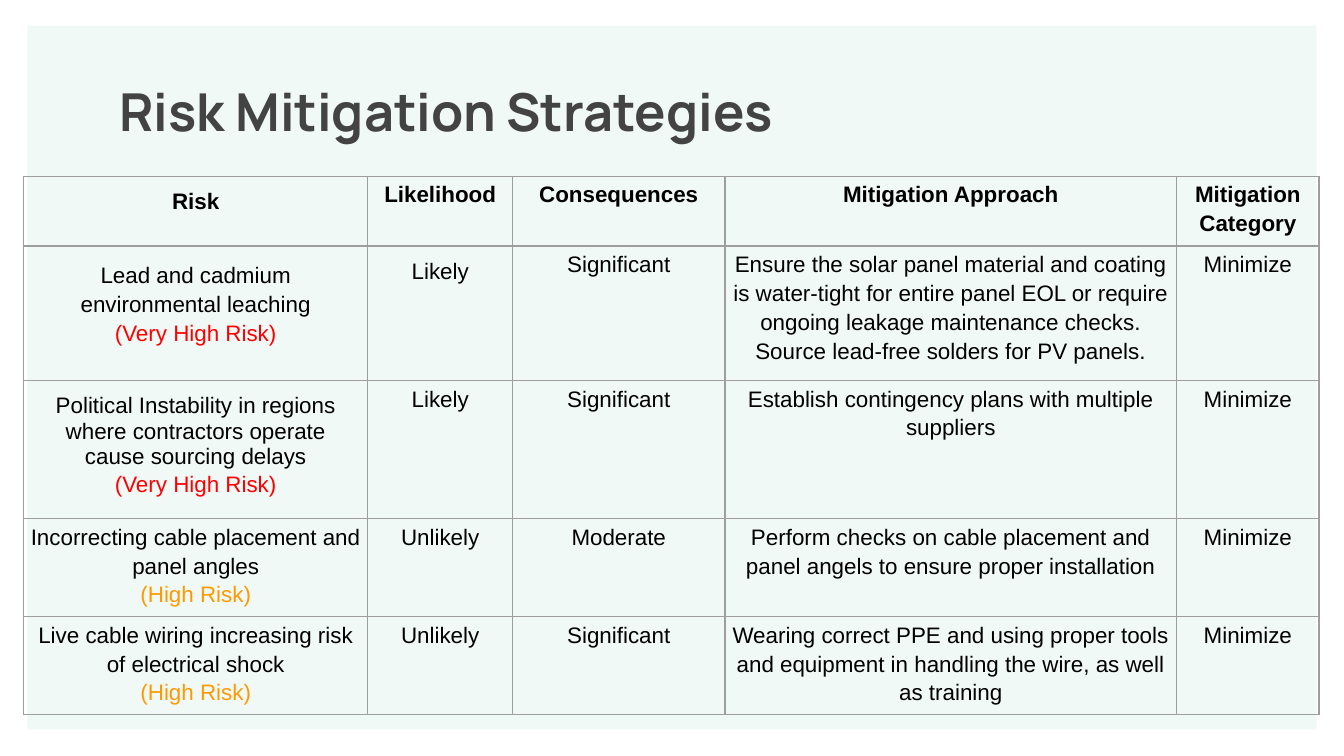
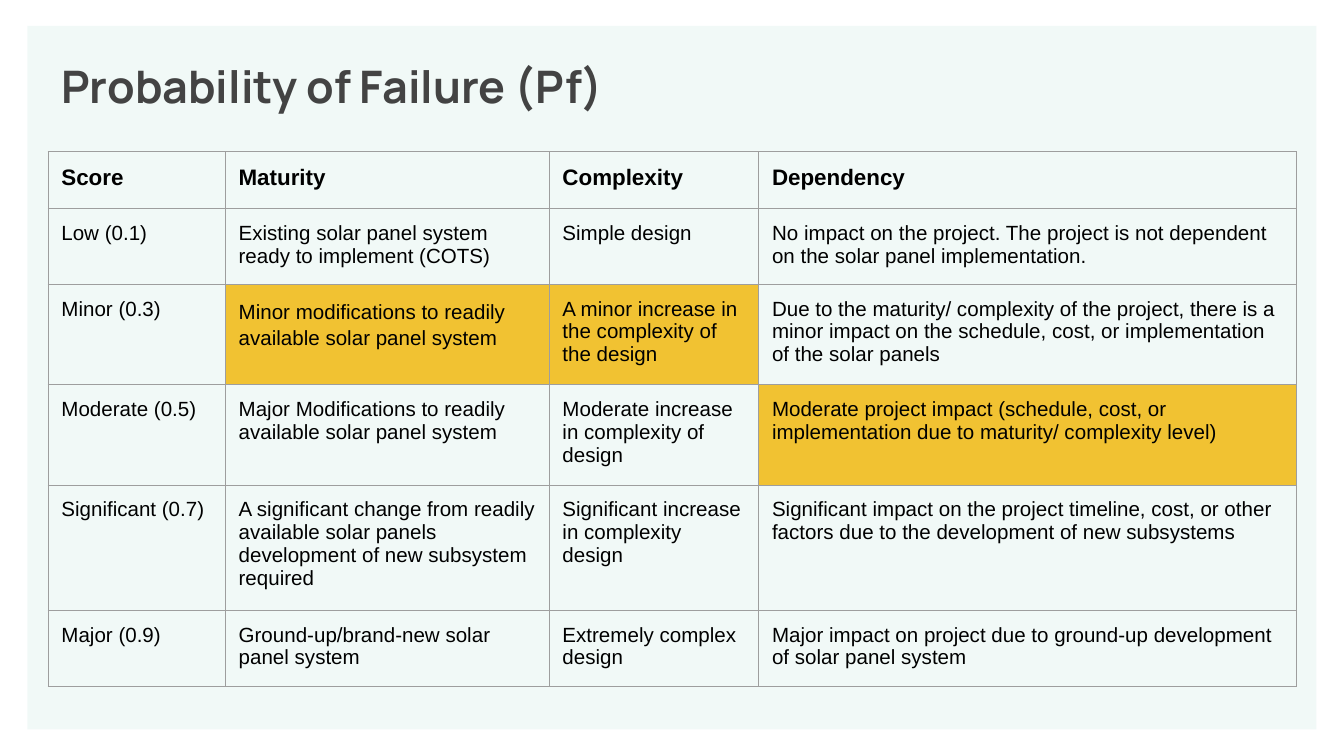
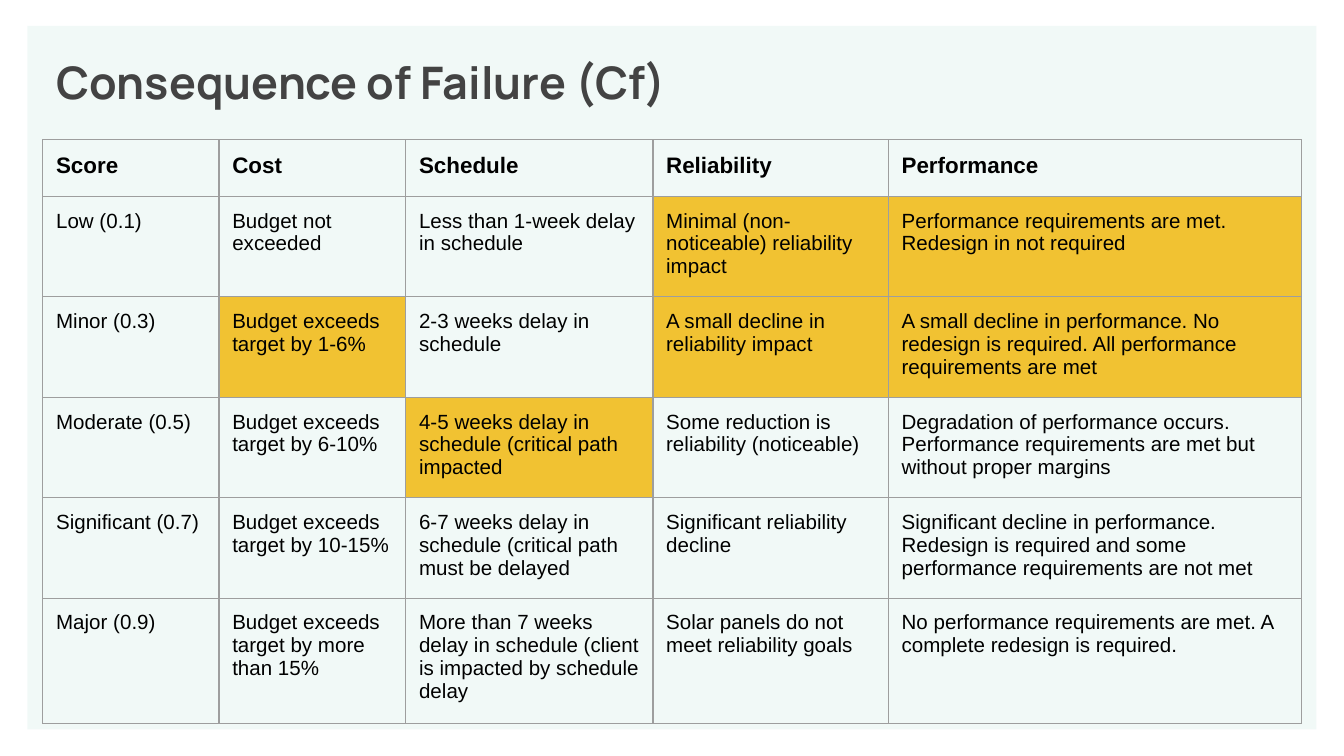
from lxml.etree import SubElement
from pptx import Presentation
from pptx.dml.color import RGBColor
from pptx.enum.shapes import MSO_SHAPE as Shape
from pptx.enum.text import MSO_ANCHOR as Anchor, PP_ALIGN as Align
from pptx.oxml.ns import qn
from pptx.util import Cm, Pt

COLOURS = {
    "page": "FFFFFF",
    "panel": "98D3C7",
    "title": "434343",
    "text": "000000",
    "border": "9E9E9E",
    "highlight": "F1C232",
}
RISK_COLOURS = {"(Very High Risk)": "FF0000", "(High Risk)": "FF9900"}
WIDE_INSETS = (0.25, 0.25)
NARROW_INSETS = (0.08, 0.05)
LEVELS = ["Low (0.1)", "Minor (0.3)", "Moderate (0.5)", "Significant (0.7)", "Major (0.9)"]

# Cell positions below are (row, column) pairs.
risk_page = {
    "title": "Risk Mitigation Strategies",
    "title_at": (2.01, 1.24),
    "title_size": 28,
    "table_at": (0.45, 3.33),
    "columns": [6.5, 2.74, 4.01, 8.54, 2.69],
    "rows": [1.32, 2.54, 2.49, 1.32, 1.32],
    "body_size": 12,
    "align": Align.CENTER,
    "spacing": 1.15,
    "insets": NARROW_INSETS,
    "wide_cells": {(0, 0), (1, 0), (1, 1), (2, 0)},
    "single_spaced": {(0, 0), (1, 1), (2, 0)},
    "cells": [
        ["Risk", "Likelihood", "Consequences", "Mitigation Approach", "Mitigation Category"],
        ["Lead and cadmium environmental leaching\n(Very High Risk)", "Likely", "Significant",
         "Ensure the solar panel material and coating is water-tight for entire panel EOL "
         "or require ongoing leakage maintenance checks. Source lead-free solders for PV panels.",
         "Minimize"],
        ["Political Instability in regions where contractors operate cause sourcing delays\n"
         "(Very High Risk)", "Likely", "Significant",
         "Establish contingency plans with multiple suppliers", "Minimize"],
        ["Incorrecting cable placement and panel angles\n(High Risk)", "Unlikely", "Moderate",
         "Perform checks on cable placement and panel angels to ensure proper installation",
         "Minimize"],
        ["Live cable wiring increasing risk of electrical shock\n(High Risk)", "Unlikely",
         "Significant",
         "Wearing correct PPE and using proper tools and equipment in handling the wire, "
         "as well as training", "Minimize"],
    ],
}

score_style = {"title_size": 24, "body_size": 11, "align": Align.LEFT, "insets": WIDE_INSETS}

probability_page = score_style | {
    "title": "Probability of Failure (Pf)",
    "title_at": (0.91, 0.86),
    "table_at": (0.91, 2.87),
    "columns": [3.35, 6.12, 3.96, 10.16],
    "rows": [1.07] * 6,
    "highlights": {(2, 1), (2, 2), (3, 3)},
    "loose_cells": {(2, 1)},
    "cells": [
        ["Score", "Maturity", "Complexity", "Dependency"],
        [LEVELS[0], "Existing solar panel system ready to implement (COTS)", "Simple design",
         "No impact on the project. The project is not dependent on the solar panel "
         "implementation."],
        [LEVELS[1], "Minor modifications to readily available solar panel system",
         "A minor increase in the complexity of the design",
         "Due to the maturity/ complexity of the project, there is a minor impact on the "
         "schedule, cost, or implementation of the solar panels"],
        [LEVELS[2], "Major Modifications to readily available solar panel system",
         "Moderate increase in complexity of design",
         "Moderate project impact (schedule, cost, or implementation due to maturity/ "
         "complexity level)"],
        [LEVELS[3], "A significant change from readily available solar panels development of "
         "new subsystem required", "Significant increase in complexity design",
         "Significant impact on the project timeline, cost, or other factors due to the "
         "development of new subsystems"],
        [LEVELS[4], "Ground-up/brand-new solar panel system", "Extremely complex design",
         "Major impact on project due to ground-up development of solar panel system"],
    ],
}

consequence_page = score_style | {
    "title": "Consequence of Failure (Cf)",
    "title_at": (0.81, 0.79),
    "table_at": (0.81, 2.64),
    "columns": [3.33, 3.53, 4.67, 4.45, 7.8],
    "rows": [1.07, 1.07, 1.07, 1.02, 1.75, 2.08],
    "highlights": {(1, 3), (1, 4), (2, 1), (2, 3), (2, 4), (3, 2)},
    "cells": [
        ["Score", "Cost", "Schedule", "Reliability", "Performance"],
        [LEVELS[0], "Budget not exceeded", "Less than 1-week delay in schedule",
         "Minimal (non-noticeable) reliability impact",
         "Performance requirements are met. Redesign in not required"],
        [LEVELS[1], "Budget exceeds target by 1-6%", "2-3 weeks delay in schedule",
         "A small decline in reliability impact",
         "A small decline in performance. No redesign is required. All performance "
         "requirements are met"],
        [LEVELS[2], "Budget exceeds target by 6-10%",
         "4-5 weeks delay in schedule (critical path impacted",
         "Some reduction is reliability (noticeable)",
         "Degradation of performance occurs. Performance requirements are met but without "
         "proper margins"],
        [LEVELS[3], "Budget exceeds target by 10-15%",
         "6-7 weeks delay in schedule (critical path must be delayed",
         "Significant reliability decline",
         "Significant decline in performance. Redesign is required and some performance "
         "requirements are not met"],
        [LEVELS[4], "Budget exceeds target by more than 15%",
         "More than 7 weeks delay in schedule (client is impacted by schedule delay",
         "Solar panels do not meet reliability goals",
         "No performance requirements are met. A complete redesign is required."],
    ],
}


def write(frame, text, size, font="Arial", colour=COLOURS["text"], bold=False,
          align=Align.LEFT, spacing=None):
    """Write one paragraph per line; risk ratings get their own colour and 1.15 spacing."""
    for index, line in enumerate(text.split("\n")):
        para = frame.add_paragraph() if index else frame.paragraphs[0]
        para.alignment = align
        para.line_spacing = 1.15 if line in RISK_COLOURS else spacing
        span = para.add_run()
        span.text = line
        span.font.name = font
        span.font.size = Pt(size)
        span.font.bold = bold
        span.font.color.rgb = RGBColor.from_string(RISK_COLOURS.get(line, colour))


def add_borders(cell):
    properties = cell._tc.get_or_add_tcPr()
    for side in ("a:lnL", "a:lnR", "a:lnT", "a:lnB"):
        line = SubElement(properties, qn(side), w=str(Pt(0.75)))
        fill = SubElement(line, qn("a:solidFill"))
        SubElement(fill, qn("a:srgbClr"), val=COLOURS["border"])


deck = Presentation()
deck.slide_width, deck.slide_height = Cm(25.4), Cm(14.29)

for content in (risk_page, probability_page, consequence_page):
    page = deck.slides.add_slide(deck.slide_layouts[6])
    page.background.fill.solid()
    page.background.fill.fore_color.rgb = RGBColor.from_string(COLOURS["page"])

    panel = page.shapes.add_shape(Shape.ROUNDED_RECTANGLE, Cm(0.52), Cm(0.49), Cm(24.36), Cm(13.3))
    panel.adjustments[0] = 0
    panel.shadow.inherit = False
    panel.line.fill.background()
    panel.fill.solid()
    panel.fill.fore_color.rgb = RGBColor.from_string(COLOURS["panel"])
    tint = panel.element.xpath("./p:spPr/a:solidFill/a:srgbClr")[0]
    SubElement(tint, qn("a:alpha"), val="13000")

    left, top = content["title_at"]
    box = page.shapes.add_textbox(Cm(left), Cm(top), Cm(21.41), Cm(1.6))
    frame = box.text_frame
    frame.word_wrap = True
    frame.vertical_anchor = Anchor.TOP
    frame.margin_left = frame.margin_right = Cm(0.25)
    frame.margin_top = frame.margin_bottom = Cm(0.25)
    write(frame, content["title"], content["title_size"], font="Manrope",
          colour=COLOURS["title"], bold=True)

    left, top = content["table_at"]
    columns, rows = content["columns"], content["rows"]
    table = page.shapes.add_table(len(rows), len(columns), Cm(left), Cm(top),
                                  Cm(sum(columns)), Cm(sum(rows))).table
    table.first_row = table.horz_banding = False
    for column, width in zip(table.columns, columns):
        column.width = Cm(width)
    for row, height in zip(table.rows, rows):
        row.height = Cm(height)

    for r, texts in enumerate(content["cells"]):
        for c, text in enumerate(texts):
            cell = table.cell(r, c)
            wide = (r, c) in content.get("wide_cells", ())
            side, edge = WIDE_INSETS if wide else content["insets"]
            cell.margin_left = cell.margin_right = Cm(side)
            cell.margin_top = cell.margin_bottom = Cm(edge)
            add_borders(cell)
            if (r, c) in content.get("highlights", ()):
                cell.fill.solid()
                cell.fill.fore_color.rgb = RGBColor.from_string(COLOURS["highlight"])
            else:
                cell.fill.background()

            spacing = content.get("spacing")
            if (r, c) in content.get("single_spaced", ()):
                spacing = None
            elif (r, c) in content.get("loose_cells", ()):
                spacing = 1.15
            write(cell.text_frame, text, content["body_size"] if r else 12, bold=r == 0,
                  align=content["align"], spacing=spacing)

deck.save("out.pptx")
